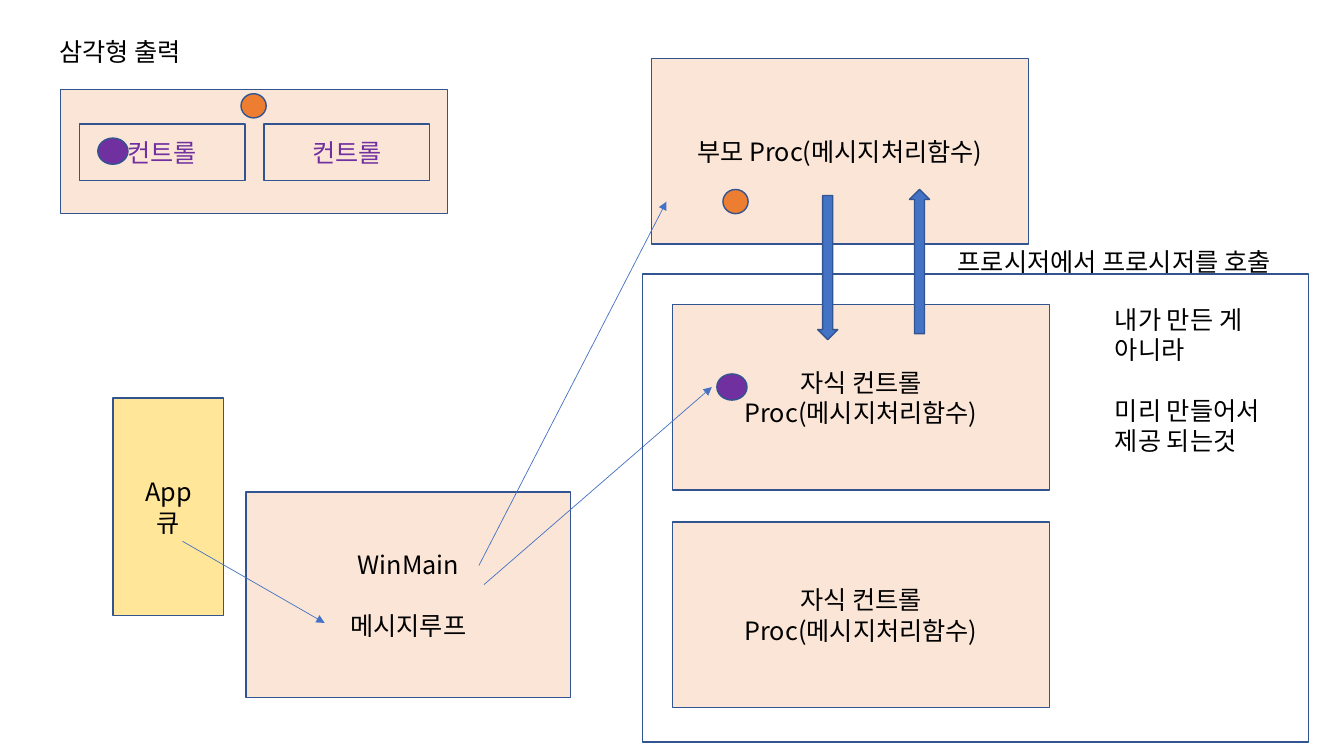
from lxml import etree
from pptx import Presentation
from pptx.dml.color import RGBColor
from pptx.enum.shapes import MSO_CONNECTOR, MSO_SHAPE
from pptx.enum.text import MSO_ANCHOR, PP_ALIGN
from pptx.oxml.ns import qn
from pptx.util import Inches, Pt

RECT, OVAL = MSO_SHAPE.RECTANGLE, MSO_SHAPE.OVAL
DOWN, UP = MSO_SHAPE.DOWN_ARROW, MSO_SHAPE.UP_ARROW
STRAIGHT = MSO_CONNECTOR.STRAIGHT
MIDDLE, TOP = MSO_ANCHOR.MIDDLE, MSO_ANCHOR.TOP
CENTER, LEFT = PP_ALIGN.CENTER, PP_ALIGN.LEFT

COLORS = {"peach": "FBE5D6", "yellow": "FFE699", "orange": "ED7D31",
          "purple": "7030A0", "blue": "4472C4", "outline": "325491",
          "black": "000000"}
FONT = "Noto Sans CJK KR"
GAP = Pt(21.6)  # one line of 18 pt text


def rgb(name):
    return RGBColor.from_string(COLORS[name])


class Diagram:
    def __init__(self, slide):
        self.s = slide
        self.font = {"name": FONT, "size": Pt(18)}

    def add_lines(self, tf, lines, color, align, gap_at):
        """Add one paragraph per line, with a wide gap before line gap_at."""
        for i, line in enumerate(lines):
            p = tf.paragraphs[0] if i == 0 else tf.add_paragraph()
            p.alignment = align
            if i == gap_at:
                p.space_before = GAP
            r = p.add_run()
            r.text = line
            for key, value in self.font.items():
                setattr(r.font, key, value)
            r.font.color.rgb = rgb(color)
            etree.SubElement(r._r.get_or_add_rPr(), qn("a:ea"), typeface=FONT)

    def shape(self, kind, box, fill=None, lines=(), color="black", gap_at=None):
        sp = self.s.shapes.add_shape(kind, *map(Inches, box))
        sp.shadow.inherit = False
        if fill:
            sp.fill.solid()
            sp.fill.fore_color.rgb = rgb(fill)
        else:
            sp.fill.background()
        sp.line.color.rgb = rgb("outline")
        sp.line.width = Pt(1)
        sp.text_frame.vertical_anchor = MIDDLE
        self.add_lines(sp.text_frame, lines, color, CENTER, gap_at)

    def text(self, box, lines, gap_at=None):
        tf = self.s.shapes.add_textbox(*map(Inches, box)).text_frame
        tf.word_wrap = False
        tf.vertical_anchor = TOP
        self.add_lines(tf, lines, "black", LEFT, gap_at)

    def arrow(self, start, end):
        c = self.s.shapes.add_connector(STRAIGHT, *map(Inches, start + end))
        c.line.color.rgb = rgb("blue")
        c.line.width = Pt(0.5)
        spPr = c._element.spPr
        etree.SubElement(spPr.find(qn("a:ln")), qn("a:tailEnd"), type="triangle")
        etree.SubElement(spPr, qn("a:effectLst"))


prs = Presentation()
prs.slide_width, prs.slide_height = Inches(13.33), Inches(7.5)
d = Diagram(prs.slides.add_slide(prs.slide_layouts[6]))

# Window with two controls
d.shape(RECT, (0.6, 0.89, 3.84, 1.23), "peach")
d.text((0.49, 0.31, 1.55, 0.4), ["삼각형 출력"])
for x in (0.79, 2.62):
    d.shape(RECT, (x, 1.23, 1.64, 0.56), lines=["컨트롤"], color="purple")

# Queue and message loop
d.shape(RECT, (1.12, 3.95, 1.1, 2.16), "yellow", ["App", "큐"])
d.shape(RECT, (2.44, 4.88, 3.22, 2.04), "peach", ["WinMain", "메시지루프"], gap_at=1)

# Parent and child procedures
PROC = "Proc(메시지처리함수)"
d.shape(RECT, (6.46, 0.58, 3.74, 1.84), "peach", ["부모 " + PROC])
for y in (3.02, 5.18):
    d.shape(RECT, (6.67, y, 3.74, 1.84), "peach", ["자식 컨트롤", PROC])

# Matching markers: orange for the parent, purple for the control
for x, y in ((2.39, 0.93), (7.17, 1.88)):
    d.shape(OVAL, (x, y, 0.25, 0.24), "orange")
for x, y in ((0.97, 1.37), (7.11, 3.71)):
    d.shape(OVAL, (x, y, 0.3, 0.26), "purple")

# Message flow
for start, end in (((1.81, 5.37), (3.22, 6.18)),
                   ((4.75, 5.61), (6.61, 2)),
                   ((4.8, 5.8), (7.06, 3.84))):
    d.arrow(start, end)

# Frame around the ready-made procedures
d.shape(RECT, (6.37, 2.72, 6.61, 4.64))
d.text((10.96, 2.97, 1.81, 1.92),
       ["내가 만든 게", "아니라", "미리 만들어서", "제공 되는것"], gap_at=2)

# Calls between procedures
for kind, x, y in ((DOWN, 8.11, 1.94), (UP, 9.02, 1.88)):
    d.shape(kind, (x, y, 0.2, 1.43), "blue")
d.text((9.4, 2.39, 3.66, 0.4), ["프로시저에서 프로시저를 호출"])

prs.save("out.pptx")
